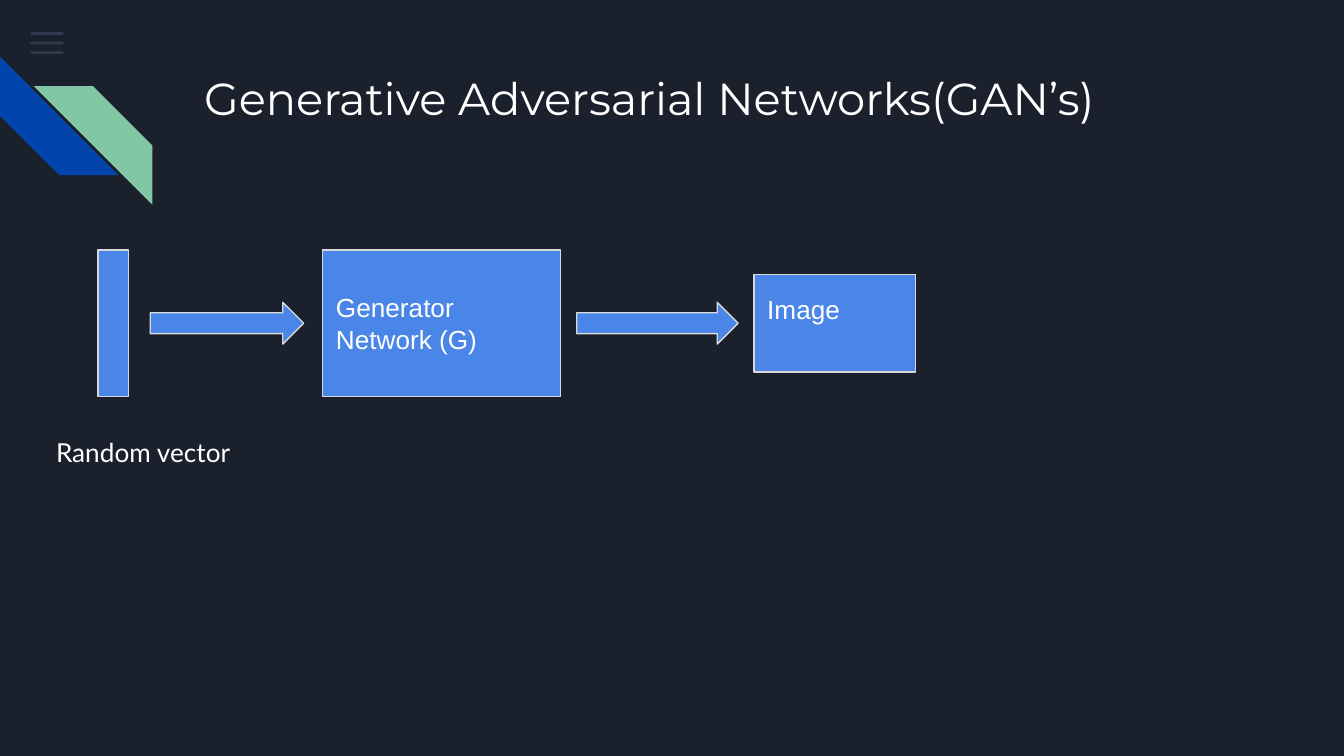
from dataclasses import dataclass

from lxml.etree import SubElement
from pptx import Presentation
from pptx.dml.color import RGBColor as Rgb
from pptx.enum.shapes import MSO_SHAPE as Shape
from pptx.enum.text import MSO_ANCHOR as Anchor
from pptx.oxml.ns import qn
from pptx.util import Cm, Pt


@dataclass(frozen=True)
class Theme:
    background: Rgb = Rgb.from_string("1B212C")
    menu: Rgb = Rgb.from_string("55688B")
    menu_alpha: int = 36000
    blue_stripe: Rgb = Rgb.from_string("0145AC")
    green_stripe: Rgb = Rgb.from_string("82C7A5")
    block: Rgb = Rgb.from_string("4A86E8")
    outline: Rgb = Rgb.from_string("D9D9D9")
    outline_width: Pt = Pt(0.75)
    text: Rgb = Rgb.from_string("FFFFFF")
    title_size: Pt = Pt(24)
    label_size: Pt = Pt(14)


THEME = Theme()
INSET = Cm(0.25)
ROW_MIDDLE = 6.11


def apply_format(target, values):
    for attribute, value in values.items():
        setattr(target, attribute, value)


def write_text(holder, wording, font, size, **frame_format):
    frame = holder.text_frame
    apply_format(frame, {
        "word_wrap": True,
        "margin_left": INSET,
        "margin_right": INSET,
        "margin_top": INSET,
        "margin_bottom": INSET,
        "vertical_anchor": Anchor.TOP,
    } | frame_format)
    paragraph = frame.paragraphs[0]
    run = paragraph.add_run()
    run.text = wording
    apply_format(run.font, {"name": font, "size": size})
    run.font.color.rgb = THEME.text
    return paragraph


def add_caption(slide, box, wording, font, size):
    caption = slide.shapes.add_textbox(*map(Cm, box))
    write_text(caption, wording, font, size)


def add_filled(slide, preset, box, color):
    filled = slide.shapes.add_shape(preset, *map(Cm, box))
    filled.shadow.inherit = False
    filled.fill.solid()
    filled.fill.fore_color.rgb = color
    filled.line.fill.background()
    return filled


def add_menu_icon(slide):
    for position in range(3):
        bar = add_filled(slide, Shape.RECTANGLE,
                         (0.58, 0.61 + 0.18 * position, 0.62, 0.05), THEME.menu)
        color = bar.fill._xPr.find(f".//{qn('a:srgbClr')}")
        SubElement(color, qn("a:alpha"), val=str(THEME.menu_alpha))


def add_corner_stripe(slide, left, top, color, rotation):
    stripe = add_filled(slide, Shape.DIAGONAL_STRIPE, (left, top, 2.24, 2.24), color)
    stripe.rotation = rotation


def add_stage(slide, preset, left, width, height):
    box = (left, ROW_MIDDLE - height / 2, width, height)
    stage = add_filled(slide, preset, box, THEME.block)
    stage.line.color.rgb = THEME.outline
    stage.line.width = THEME.outline_width
    return stage


def label_stage(stage, wording, **frame_format):
    paragraph = write_text(stage, wording, "Arial", THEME.label_size, **frame_format)
    paragraph.alignment = 1


def add_pipeline(slide):
    add_stage(slide, Shape.RECTANGLE, 1.85, 0.58, 2.77)
    add_stage(slide, Shape.RIGHT_ARROW, 2.84, 2.9, 0.79)
    generator = add_stage(slide, Shape.RECTANGLE, 6.1, 4.5, 2.77)
    add_stage(slide, Shape.RIGHT_ARROW, 10.9, 3.05, 0.79)
    image = add_stage(slide, Shape.RECTANGLE, 14.25, 3.05, 1.85)
    label_stage(generator, "Generator Network (G)", vertical_anchor=Anchor.MIDDLE)
    label_stage(image, "Image", margin_top=Cm(0.36))


def main():
    deck = Presentation()
    apply_format(deck, {"slide_width": Cm(25.4), "slide_height": Cm(14.29)})
    slide = deck.slides.add_slide(deck.slide_layouts[6])
    slide.background.fill.solid()
    slide.background.fill.fore_color.rgb = THEME.background

    add_menu_icon(slide)
    add_corner_stripe(slide, 0, 1.07, THEME.blue_stripe, 270)
    add_corner_stripe(slide, 0.64, 1.63, THEME.green_stripe, 90)
    add_caption(slide, (3.61, 1.09, 19.56, 2.54),
                "Generative Adversarial Networks(GAN’s)", "Montserrat", THEME.title_size)
    add_pipeline(slide)
    add_caption(slide, (0.81, 8, 4.29, 1.12), "Random vector", "Lato", THEME.label_size)
    deck.save("out.pptx")


if __name__ == "__main__":
    main()
